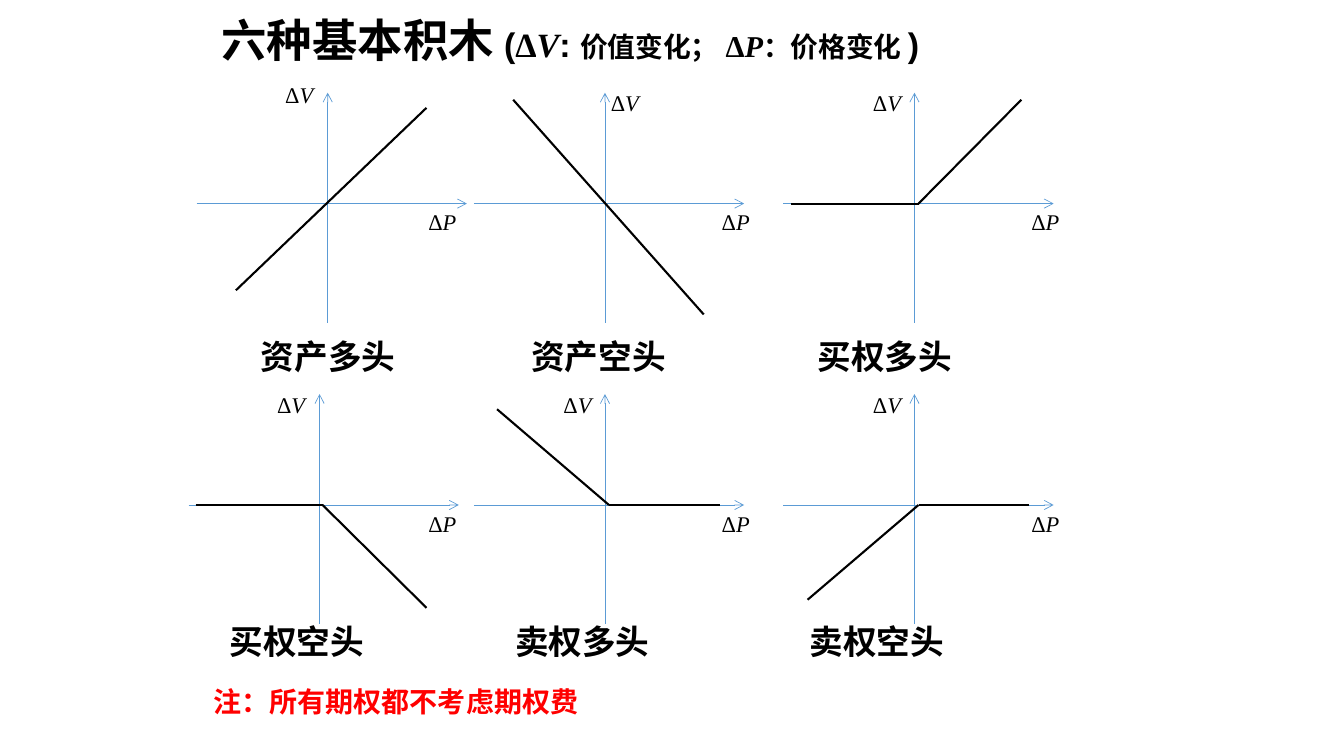
from itertools import pairwise

from lxml import etree
from pptx import Presentation
from pptx.dml.color import RGBColor
from pptx.enum.shapes import MSO_CONNECTOR
from pptx.enum.text import MSO_ANCHOR
from pptx.oxml.ns import qn
from pptx.util import Inches, Pt

STRAIGHT = MSO_CONNECTOR.STRAIGHT
MIDDLE = MSO_ANCHOR.MIDDLE
COLORS = {"text": "000000", "note": "FF0000", "axis": "5B9BD5", "payoff": "000000"}
SANS, SERIF, CHINESE = "Arial", "Times New Roman", "Noto Sans CJK SC"


def add_text(shapes, left, top, width, height, runs, color="text", bold=False):
    """Add a text box; each run is (text, size, font, italic)."""
    box = shapes.add_textbox(Inches(left), Inches(top), Inches(width), Inches(height))
    frame = box.text_frame
    frame.word_wrap = True
    for text, size, font, italic in runs:
        run = frame.paragraphs[0].add_run()
        run.text = text
        run.font.size = Pt(size)
        run.font.name = font
        run.font.bold = bold
        run.font.italic = italic
        run.font.color.rgb = RGBColor.from_string(COLORS[color])
        east_asian = etree.Element(qn("a:ea"), typeface=CHINESE)
        run.font._element.find(qn("a:latin")).addnext(east_asian)
    return frame


def add_line(shapes, start, end, color, weight, arrow=False):
    line = shapes.add_connector(STRAIGHT, *(Inches(v) for v in (*start, *end)))
    line.line.color.rgb = RGBColor.from_string(COLORS[color])
    line.line.width = Pt(weight)
    if arrow:
        etree.SubElement(line.line._get_or_add_ln(), qn("a:tailEnd"), type="arrow")
    etree.SubElement(line._element.spPr, qn("a:effectLst"))


prs = Presentation()
prs.slide_width, prs.slide_height = Inches(13.33), Inches(7.5)
slide = prs.slides.add_slide(prs.slide_layouts[6])

title = add_text(slide.shapes, 2.1, 0.13, 9, 0.58, [
    ("六种基本积木 ", 32.4, SANS, False),
    ("(", 24.3, SANS, False),
    ("Δ", 24.3, SERIF, False),
    ("V", 24.3, SERIF, True),
    (": ", 24.3, SANS, False),
    ("价值变化；", 19.8, SANS, False),
    (" Δ", 21.6, SERIF, False),
    ("P", 21.6, SERIF, True),
    ("：价格变化 ", 19.8, SANS, False),
    (")", 24.3, SANS, False),
], bold=True)
title.vertical_anchor = MIDDLE
title.paragraphs[0].line_spacing = 0.9

add_text(slide.shapes, 2.02, 6.74, 3.86, 0.44,
         [("注：所有期权都不考虑期权费", 20, CHINESE, False)], "note", True)

# Each row: vertical position of the price axis, and of the captions
ROWS = [(2.02, 3.28), (5.01, 6.11)]
PRICE_LABEL_LEFT = [4.15, 7.06, 10.13]

# Caption, its left and width, origin x, ΔV label offset, payoff points from the origin
DIAGRAMS = [
    ("资产多头", 2.49, 1.65, 3.25, (-0.52, -1.26), [(-0.91, 0.86), (0.98, -0.95)]),
    ("资产空头", 5.17, 1.65, 6, (-0.04, -1.18), [(-0.91, -1.03), (0.98, 1.1)]),
    ("买权多头", 8.01, 2.28, 9.07, (-0.51, -1.18), [(-1.22, 0), (0.04, 0), (1.06, -1.03)]),
    ("买权空头", 2.18, 2.28, 3.17, (-0.52, -1.18), [(-1.23, 0), (0.03, 0), (1.06, 1.02)]),
    ("卖权多头", 5.01, 2.28, 6, (-0.51, -1.18), [(1.14, 0), (0.04, 0), (-1.07, -0.95)]),
    ("卖权空头", 7.93, 2.2, 9.07, (-0.51, -1.18), [(1.14, 0), (0.04, 0), (-1.06, 0.94)]),
]

for index, (caption, caption_left, caption_width, x, value_offset, payoff) in enumerate(DIAGRAMS):
    row, column = divmod(index, 3)
    y, caption_top = ROWS[row]
    diagram = slide.shapes.add_group_shape().shapes

    add_line(diagram, (x - 1.3, y), (x + 1.38, y), "axis", 0.5, arrow=True)
    add_line(diagram, (x, y + 1.18), (x, y - 1.1), "axis", 0.5, arrow=True)
    add_text(diagram, caption_left, caption_top, caption_width, 0.5,
             [(caption, 24, CHINESE, False)], bold=True)
    for (x1, y1), (x2, y2) in pairwise(payoff):
        add_line(diagram, (x + x1, y + y1), (x + x2, y + y2), "payoff", 1.5)

    labels = [("P", PRICE_LABEL_LEFT[column], y),
              ("V", x + value_offset[0], y + value_offset[1])]
    for letter, left, top in labels:
        add_text(diagram, left, top, 0.55, 0.37,
                 [("Δ", 16, SERIF, False), (letter, 16, SERIF, True)])

prs.save("out.pptx")
